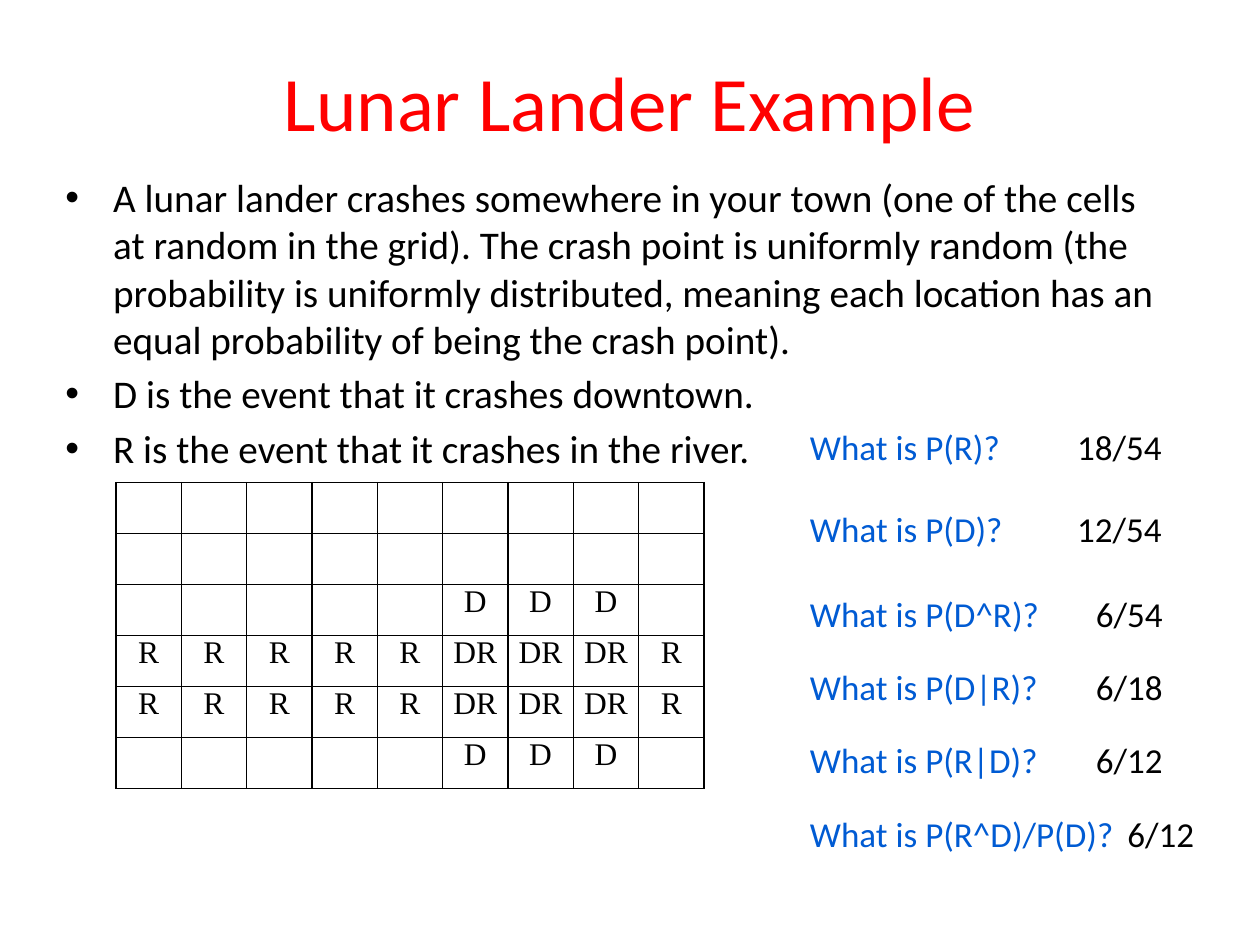
from lxml.etree import SubElement
from pptx import Presentation
from pptx.dml.color import RGBColor
from pptx.enum.text import MSO_ANCHOR as Anchor, MSO_AUTO_SIZE as AutoSize, PP_ALIGN as Align
from pptx.oxml.ns import qn
from pptx.util import Inches, Pt

RED = RGBColor(0xFF, 0x00, 0x00)
BLUE = RGBColor(0x00, 0x5B, 0xD3)
BLACK = RGBColor(0x00, 0x00, 0x00)
SANS, SERIF = "Calibri", "Times New Roman"

BULLETS = [
    "A lunar lander crashes somewhere in your town (one of the cells at random in "
    "the grid). The crash point is uniformly random (the probability is uniformly "
    "distributed, meaning each location has an equal probability of being the crash point).",
    "D is the event that it crashes downtown.",
    "R is the event that it crashes in the river.",
]

# Town map: 9 columns, downtown in columns 5-7
EMPTY_ROW = [""] * 9
DOWNTOWN_ROW = [""] * 5 + ["D"] * 3 + [""]
RIVER_ROW = ["R"] * 5 + ["DR"] * 3 + ["R"]
TOWN = [EMPTY_ROW, EMPTY_ROW, DOWNTOWN_ROW, RIVER_ROW, RIVER_ROW, DOWNTOWN_ROW]

# Top, question, question width, answer, answer left, answer width
QUESTIONS = [
    (3.33, "What is P(R)?", 1.73, "18/54", 8.45, 0.88),
    (3.98, "What is P(D)?", 1.75, "12/54", 8.45, 0.88),
    (4.65, "What is P(D^R)?", 2.04, "6/54", 8.6, 0.74),
    (5.23, "What is P(D|R)?", 2.04, "6/18", 8.6, 0.74),
    (5.81, "What is P(R|D)?", 2.03, "6/12", 8.6, 0.74),
    (6.4, "What is P(R^D)/P(D)?", 2.64, "6/12", 8.85, 0.74),
]


class SlideBuilder:
    def __init__(self, slide):
        self.slide = slide

    def style(self, paragraph, size, color, font=SANS):
        for run in paragraph.runs:
            run.font.size = Pt(size)
            run.font.name = font
            run.font.color.rgb = color

    def text_frame(self, left, top, width, height, wrap=True):
        box = self.slide.shapes.add_textbox(
            Inches(left), Inches(top), Inches(width), Inches(height))
        box.text_frame.word_wrap = wrap
        return box.text_frame

    def title(self, text, left, top, width, height):
        frame = self.text_frame(left, top, width, height)
        frame.vertical_anchor = Anchor.MIDDLE
        frame.text = text
        frame.paragraphs[0].alignment = Align.CENTER
        self.style(frame.paragraphs[0], 44, RED)

    def bullets(self, items, left, top, width, height):
        frame = self.text_frame(left, top, width, height)
        frame.text = "\n".join(items)
        for index, paragraph in enumerate(frame.paragraphs):
            properties = paragraph._p.get_or_add_pPr()
            properties.set("marL", str(Inches(0.38)))
            properties.set("indent", str(Inches(-0.38)))
            SubElement(properties, qn("a:buFont"), typeface="Arial")
            SubElement(properties, qn("a:buChar"), char="•")
            if index:
                paragraph.space_before = Pt(4.5)
            self.style(paragraph, 22.4, BLACK)

    def label(self, text, left, top, width, color):
        frame = self.text_frame(left, top, width, 0.44, wrap=False)
        frame.auto_size = AutoSize.SHAPE_TO_FIT_TEXT
        frame.text = text
        self.style(frame.paragraphs[0], 20, color)

    def cell_borders(self, cell):
        properties = cell._tc.get_or_add_tcPr()
        for side in ("a:lnL", "a:lnR", "a:lnT", "a:lnB"):
            line = SubElement(properties, qn(side), w=str(Pt(1)))
            fill = SubElement(line, qn("a:solidFill"))
            SubElement(fill, qn("a:srgbClr"), val=str(BLACK))

    def grid(self, rows, left, top, width, height):
        table = self.slide.shapes.add_table(
            len(rows), len(rows[0]), Inches(left), Inches(top),
            Inches(width), Inches(height)).table
        table.first_row = table.horz_banding = False
        for row, texts in enumerate(rows):
            for column, text in enumerate(texts):
                cell = table.cell(row, column)
                self.cell_borders(cell)
                cell.fill.background()
                cell.margin_left = cell.margin_right = 0
                cell.margin_top = cell.margin_bottom = 0
                cell.text = text
                paragraph = cell.text_frame.paragraphs[0]
                paragraph.alignment = Align.CENTER
                self.style(paragraph, 18, BLACK, SERIF)


def main():
    presentation = Presentation()
    presentation.slide_width = Inches(10)
    presentation.slide_height = Inches(7.5)
    slide = presentation.slides.add_slide(presentation.slide_layouts[6])
    builder = SlideBuilder(slide)

    # Title and description
    builder.title("Lunar Lander Example", 0.5, 0.17, 9, 1.25)
    builder.bullets(BULLETS, 0.42, 1.33, 9, 2.08)

    # Town map
    builder.grid(TOWN, 0.92, 3.83, 4.67, 2.43)

    # Questions and answers
    for top, question, width, answer, answer_left, answer_width in QUESTIONS:
        builder.label(question, 6.33, top, width, BLUE)
        builder.label(answer, answer_left, top, answer_width, BLACK)

    presentation.save("out.pptx")


if __name__ == "__main__":
    main()
